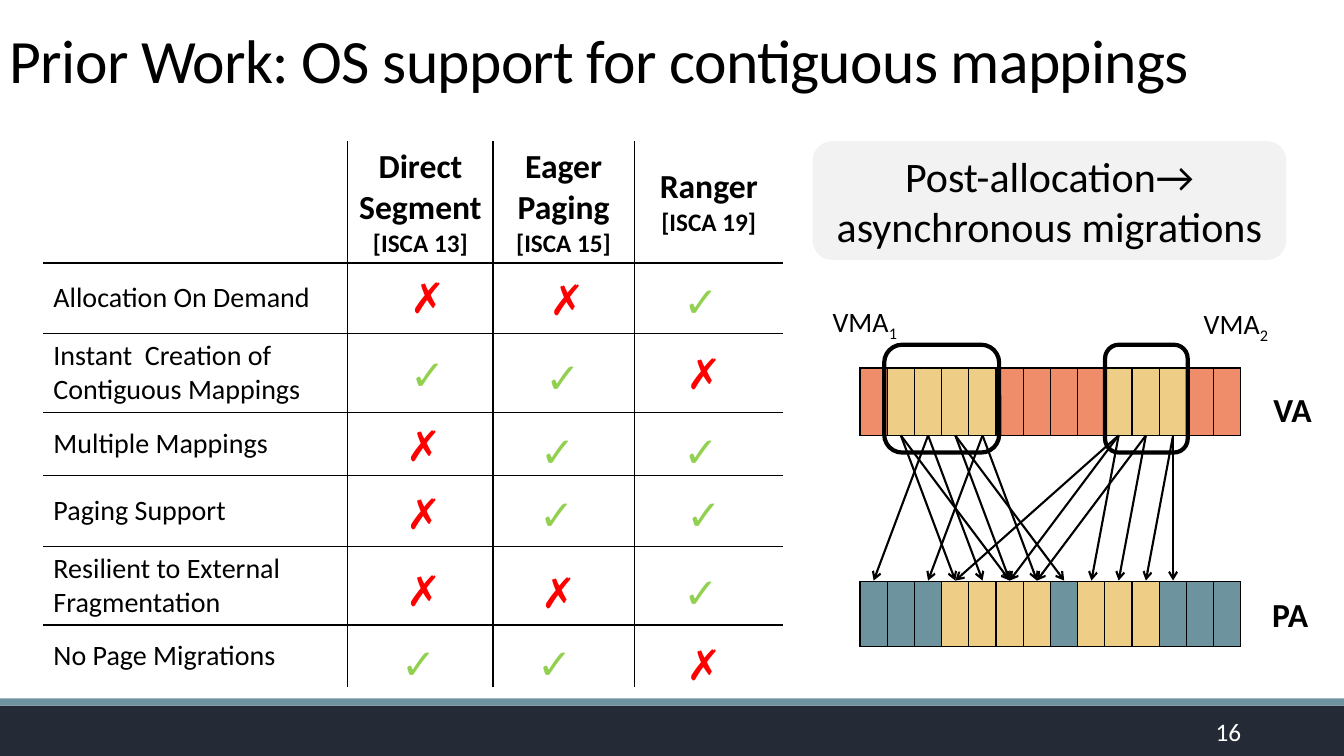
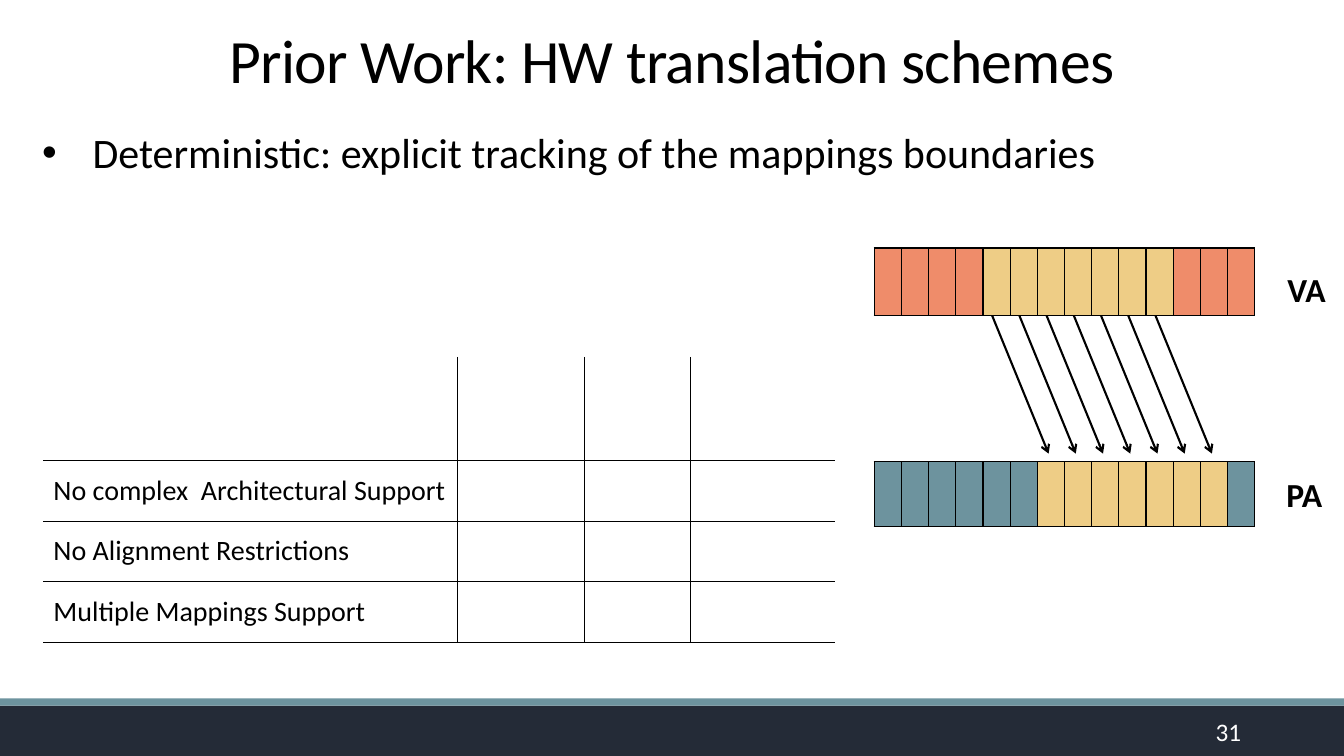
from lxml.etree import SubElement
from pptx import Presentation
from pptx.dml.color import RGBColor
from pptx.enum.shapes import MSO_CONNECTOR, MSO_SHAPE
from pptx.enum.text import MSO_ANCHOR, PP_ALIGN
from pptx.oxml.ns import qn
from pptx.util import Inches, Pt

FONT = "Calibri"
HUES = {
    "ink": "000000",
    "white": "FFFFFF",
    "navy": "242B37",
    "teal": "6D939E",
    "coral": "EF8C6A",
    "gold": "EECD86",
    "pale": "F2F2F2",
    "red": "FF0000",
    "green": "92D050",
}
MARKS = {"✗": ("red", 0.47), "✓": ("green", 0.53)}
CELLS = 14  # memory cells in one strip
STEP = 0.27  # width of one memory cell
DROP = 2.12  # from the top of VA to the top of PA
VA_TALL, PA_TALL = 0.67, 0.64


def hue(name):
    return RGBColor.from_string(HUES[name])


def style(para, size, color="ink", bold=False, align=PP_ALIGN.LEFT):
    para.alignment = align
    for run in para.runs:
        font = run.font
        font.name, font.size, font.bold = FONT, Pt(size), bold
        font.color.rgb = hue(color)


def label(slide, text, at, size, color="ink", bold=False,
          align=PP_ALIGN.LEFT, wrap=False, anchor=MSO_ANCHOR.TOP):
    """Add a text box and return its first paragraph."""
    frame = slide.shapes.add_textbox(*map(Inches, at)).text_frame
    frame.word_wrap, frame.vertical_anchor = wrap, anchor
    frame.text = text
    para = frame.paragraphs[0]
    style(para, size, color, bold, align)
    return para


def block(slide, kind, at, fill=None, line=None):
    shape = slide.shapes.add_shape(kind, *map(Inches, at))
    shape.shadow.inherit = False
    if fill:
        shape.fill.solid()
        shape.fill.fore_color.rgb = hue(fill)
    else:
        shape.fill.background()
    if line:
        shape.line.color.rgb = hue("ink")
        shape.line.width = Pt(line)
    else:
        shape.line.fill.background()
    return shape


def arrow(slide, x1, y1, x2, y2):
    line = slide.shapes.add_connector(
        MSO_CONNECTOR.STRAIGHT, *map(Inches, (x1, y1, x2, y2)))
    line.line.color.rgb = hue("ink")
    line.line.width = Pt(1.5)
    SubElement(line.line._get_or_add_ln(), qn("a:tailEnd"), type="arrow")
    SubElement(line._element.spPr, qn("a:effectLst"))


def edge(cell, sides):
    """Rule the given sides of a cell and clear the others."""
    props = cell._tc.get_or_add_tcPr()
    for side in "LRTB":
        line = SubElement(props, qn("a:ln" + side), w=str(Pt(1)))
        if side in sides:
            fill = SubElement(line, qn("a:solidFill"))
            SubElement(fill, qn("a:srgbClr"), val=HUES["ink"])
        else:
            SubElement(line, qn("a:noFill"))


def grid(slide, left, top, cols, rows):
    """Add a table without style bands."""
    at = left, top, sum(cols), sum(rows)
    table = slide.shapes.add_table(
        len(rows), len(cols), *map(Inches, at)).table
    table.first_row = table.horz_banding = False
    for col, wide in zip(table.columns, cols):
        col.width = Inches(wide)
    for row, tall in zip(table.rows, rows):
        row.height = Inches(tall)
    return table


def matrix(slide, top, cols, rows, heads, names, closed=False):
    """Add a comparison table, ruled inside and, if closed, below."""
    table = grid(slide, 0.43, top, cols, rows)
    for r in range(len(rows)):
        for c in range(len(cols)):
            cell = table.cell(r, c)
            sides = {"L": c > 0, "R": c < len(cols) - 1,
                     "T": r > 0, "B": closed or r < len(rows) - 1}
            edge(cell, [side for side in sides if sides[side]])
            cell.fill.background()
            cell.vertical_anchor = MSO_ANCHOR.MIDDLE
    for c, head in enumerate(heads, 1):
        frame = table.cell(0, c).text_frame
        frame.text = head
        for para in frame.paragraphs:
            size = 18 if para.text.startswith("[") else 24
            style(para, size, bold=True, align=PP_ALIGN.CENTER)
    for r, name in enumerate(names, 1):
        frame = table.cell(r, 0).text_frame
        frame.text = name
        style(frame.paragraphs[0], 20)


def strip(slide, left, top, tall, color, used):
    """Add a row of memory cells, with the used ones in gold."""
    table = grid(slide, left, top, [STEP] * CELLS, [tall])
    for i in range(CELLS):
        cell = table.cell(0, i)
        cell.margin_left = cell.margin_right = 0
        edge(cell, "LRTB")
        cell.fill.solid()
        cell.fill.fore_color.rgb = hue("gold" if i in used else color)


def memory(slide, left, top, virt, phys):
    """Add the virtual and the physical strip with their names."""
    strip(slide, left, top, VA_TALL, "coral", virt)
    strip(slide, left, top + DROP, PA_TALL, "teal", phys)
    label(slide, "VA", (left + 4, top + 0.16, 0.59, 0.5), 24, bold=True)
    label(slide, "PA", (left + 3.99, top + DROP + 0.07, 0.56, 0.5), 24,
          bold=True)


def base(deck, title, number, align):
    """Add a slide with its bands, title and page number."""
    slide = deck.slides.add_slide(deck.slide_layouts[6])
    block(slide, MSO_SHAPE.RECTANGLE, (0, 7, 13.33, 0.5), "navy")
    block(slide, MSO_SHAPE.RECTANGLE, (0, 6.93, 13.33, 0.07), "teal")
    para = label(slide, title, (0, 0.01, 13.33, 0.99), 44, align=align,
                 wrap=True, anchor=MSO_ANCHOR.BOTTOM)
    para.line_spacing = 0.85
    para.runs[0]._r.get_or_add_rPr().set("spc", "-50")
    label(slide, str(number), (10.98, 7.06, 1.43, 0.4), 18, "white",
          align=PP_ALIGN.RIGHT, wrap=True, anchor=MSO_ANCHOR.MIDDLE)
    return slide


def area(slide, index, at, box):
    """Add the outline of one VMA and its name."""
    block(slide, MSO_SHAPE.ROUNDED_RECTANGLE, box, line=3)
    para = label(slide, "VMA", at, 20)
    run = para.add_run()
    run.text = index
    style(para, 20)
    run._r.get_or_add_rPr().set("baseline", "-25000")


def support(deck):
    slide = base(deck, "Prior Work: OS support for contiguous mappings", 16,
                 PP_ALIGN.LEFT)
    matrix(
        slide, 1.4, [3.02, 1.44, 1.4, 1.48],
        [1.21, 0.7, 0.78, 0.63, 0.7, 0.78, 0.62],
        ["Direct\nSegment\n[ISCA 13]", "Eager Paging\n[ISCA 15]",
         "Ranger\n[ISCA 19]"],
        ["Allocation On Demand", "Instant  Creation of Contiguous Mappings",
         "Multiple Mappings", "Paging Support",
         "Resilient to External Fragmentation", "No Page Migrations"])
    marks = [
        ("✗", 3.97, 2.64), ("✗", 5.35, 2.66), ("✓", 6.68, 2.68),
        ("✓", 3.97, 3.41), ("✓", 5.31, 3.44), ("✗", 6.71, 3.4),
        ("✗", 3.93, 4.11), ("✓", 5.26, 4.17), ("✓", 6.68, 4.17),
        ("✗", 3.93, 4.79), ("✓", 5.25, 4.8), ("✓", 6.71, 4.8),
        ("✗", 3.93, 5.55), ("✗", 5.27, 5.57), ("✓", 6.68, 5.57),
        ("✓", 3.88, 6.28), ("✓", 5.23, 6.28), ("✗", 6.71, 6.29),
    ]
    for mark, x, y in marks:
        color, wide = MARKS[mark]
        label(slide, mark, (x, y, wide, 0.61), 30, color)

    note = block(slide, MSO_SHAPE.ROUNDED_RECTANGLE,
                 (8.06, 1.4, 4.7, 1.18), "pale")
    frame = note.text_frame
    frame.word_wrap, frame.vertical_anchor = True, MSO_ANCHOR.MIDDLE
    frame.text = "Post-allocation→\vasynchronous migrations"
    style(frame.paragraphs[0], 30, align=PP_ALIGN.CENTER)

    left, top = 8.53, 3.65
    memory(slide, left, top, {1, 2, 3, 4, 9, 10, 11},
           {3, 4, 5, 6, 8, 9, 10})
    area(slide, "1", (8.16, 2.97, 0.86, 0.44), (8.77, 3.42, 1.14, 1.07))
    area(slide, "2", (11.84, 2.99, 0.86, 0.44), (10.96, 3.42, 0.82, 1.07))
    links = {1: (3, 5), 2: (0, 4), 3: (5, 7), 4: (2, 6),
             9: (3, 5, 8), 10: (6, 9), 11: (10, 11)}
    for start, ends in links.items():
        for end in ends:
            arrow(slide, left + STEP * (start + 0.5), top + VA_TALL,
                  left + STEP * (end + 0.5), top + DROP - 0.01)


def schemes(deck):
    slide = base(deck, "Prior Work: HW translation schemes", 31,
                 PP_ALIGN.CENTER)
    para = label(
        slide, "Deterministic: explicit tracking of the mappings boundaries",
        (0.32, 1.21, 12.92, 0.61), 30, wrap=True)
    props = para._p.get_or_add_pPr()
    props.set("marL", str(Inches(0.5)))
    props.set("indent", str(Inches(-0.5)))
    SubElement(props, qn("a:buFont"), typeface="Arial")
    SubElement(props, qn("a:buChar"), char="•")
    memory(slide, 8.67, 2.46, range(4, 11), range(6, 13))
    for i in range(7):
        x = 9.84 + STEP * i
        arrow(slide, x, 3.13, x + 0.56, 4.5)
    matrix(slide, 3.54, [4.11, 1.26, 1.05, 1.43], [1.03, 0.6, 0.6, 0.6], [],
           ["No complex  Architectural Support", "No Alignment Restrictions",
            "Multiple Mappings Support"], closed=True)


def main():
    deck = Presentation()
    deck.slide_width, deck.slide_height = Inches(13.33), Inches(7.5)
    support(deck)
    schemes(deck)
    deck.save("out.pptx")


if __name__ == "__main__":
    main()
